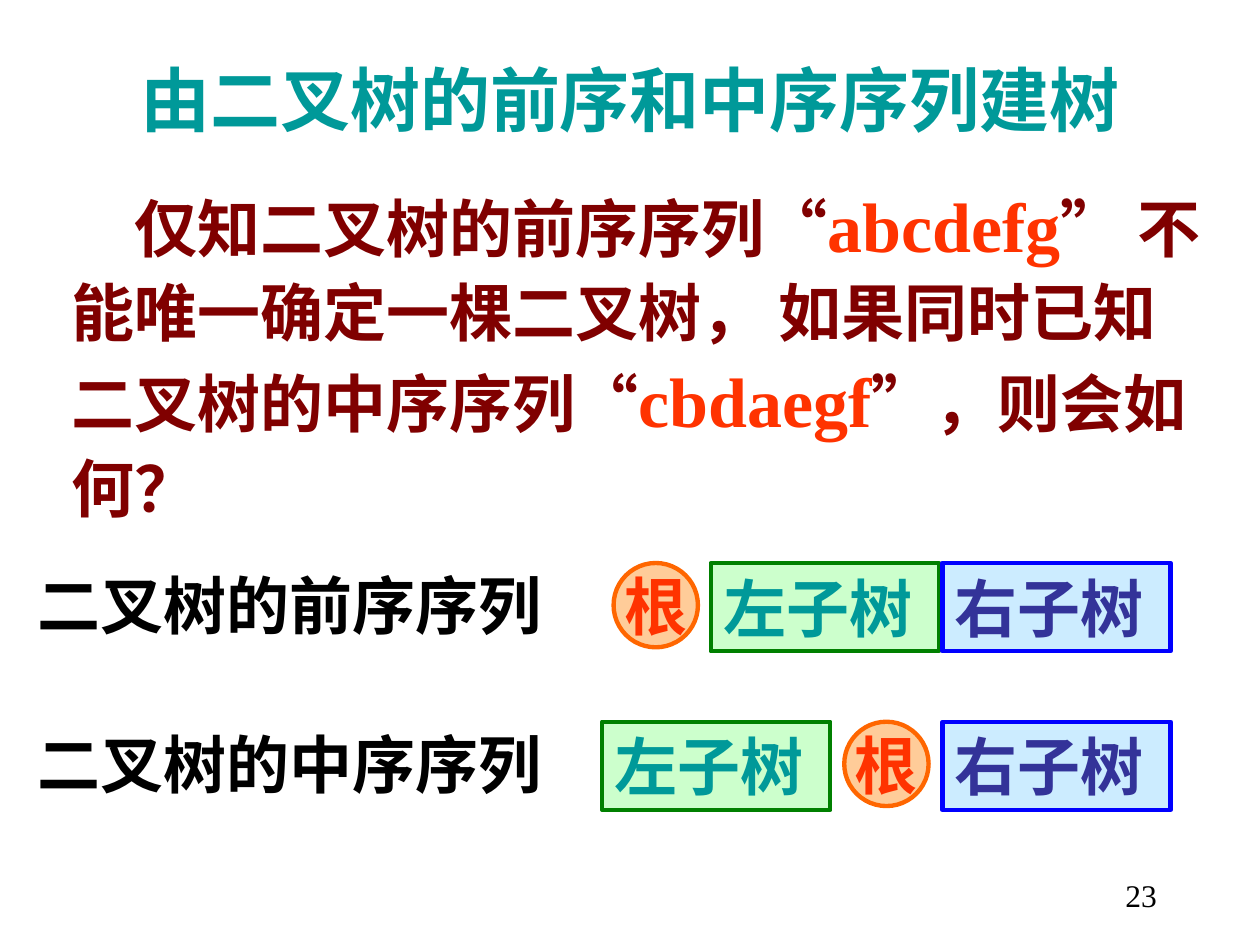
from dataclasses import dataclass

from pptx import Presentation
from pptx.dml.color import RGBColor
from pptx.enum.lang import MSO_LANGUAGE_ID as Language
from pptx.enum.shapes import MSO_SHAPE as Shape
from pptx.enum.text import MSO_ANCHOR as Anchor, PP_ALIGN as Align
from pptx.util import Cm, Pt


@dataclass(frozen=True)
class Theme:
    font: str = "Times New Roman"
    teal: str = "009999"
    maroon: str = "800000"
    red: str = "FF3300"
    navy: str = "333399"
    black: str = "000000"
    green_fill: str = "CCFFCC"
    green_line: str = "008000"
    blue_fill: str = "CCECFF"
    blue_line: str = "0000FF"
    orange_fill: str = "FFCC99"
    orange_line: str = "FF6600"
    large: int = 40
    normal: int = 36
    small: int = 18
    outline: float = 2.5


theme = Theme()


def write(box, spans, size, color, align=Align.LEFT, spacing=1.0, bold=True,
          anchor=Anchor.TOP, wrap=True):
    """Fill a box with one paragraph; each span is (text, size, color)."""
    frame = box.text_frame
    frame.word_wrap = wrap
    frame.vertical_anchor = anchor
    para = frame.paragraphs[0]
    para.alignment = align
    para.line_spacing = spacing
    para.font.name = theme.font
    para.font.bold = bold
    para.font.size = Pt(size)
    para.font.color.rgb = RGBColor.from_string(color)
    for text, span_size, span_color in spans:
        span = para.add_run()
        span.text = text
        span.font.language_id = Language.SIMPLIFIED_CHINESE
        if (span_size, span_color) != (size, color):
            span.font.size = Pt(span_size)
            span.font.color.rgb = RGBColor.from_string(span_color)


def add_text(left, top, width, height, text, size, color, **style):
    box = page.shapes.add_textbox(Cm(left), Cm(top), Cm(width), Cm(height))
    write(box, [(text, size, color)], size, color, **style)


deck = Presentation()
deck.slide_width, deck.slide_height = Cm(25.4), Cm(19.05)
page = deck.slides.add_slide(deck.slide_layouts[6])

# Question, with the two sequences picked out
question = page.shapes.add_textbox(Cm(1.19), Cm(3.38), Cm(23.29), Cm(7.34))
plain = (theme.normal, theme.maroon)
picked = (theme.large, theme.red)
write(question, [
    ("\u3000仅知二叉树的前序序列“", *plain),
    ("abcdefg", *picked),
    ("” 不能唯一确定一棵二叉树， 如果同时已知二叉树的中序序列“", *plain),
    ("cbdaegf", *picked),
    ("”，则会如何？", *plain),
], *plain, spacing=1.1)

# Title
add_text(0, 1.02, 25.4, 1.96, "由二叉树的前序和中序序列建树",
         theme.large, theme.teal, align=Align.CENTER)

# Sequence rows: label, then root and subtrees in visiting order
block_width, block_height, root_size = 4.6, 1.78, 1.7
root = ("根", Shape.OVAL, root_size, root_size,
        theme.orange_fill, theme.orange_line, theme.red)
left_tree = ("左子树", Shape.RECTANGLE, block_width, block_height,
             theme.green_fill, theme.green_line, theme.teal)
right_tree = ("右子树", Shape.RECTANGLE, block_width, block_height,
              theme.blue_fill, theme.blue_line, theme.navy)
rows = [
    ("二叉树的前序序列", 11.35, [(left_tree, 14.33), (right_tree, 19), (root, 12.37)]),
    ("二叉树的中序序列", 14.55, [(left_tree, 12.14), (right_tree, 19), (root, 17.02)]),
]
for label, top, parts in rows:
    add_text(0.51, top - 0.2, 24.89, 1.93, label, theme.normal, theme.black, spacing=1.1)
    for (name, outline, width, height, fill, line, color), left in parts:
        node = page.shapes.add_shape(outline, Cm(left), Cm(top), Cm(width), Cm(height))
        node.shadow.inherit = False
        node.fill.solid()
        node.fill.fore_color.rgb = RGBColor.from_string(fill)
        node.line.color.rgb = RGBColor.from_string(line)
        node.line.width = Pt(theme.outline)
        is_root = outline == Shape.OVAL
        write(node, [(name, theme.normal, color)], theme.normal, color,
              align=Align.CENTER if is_root else Align.LEFT,
              anchor=Anchor.MIDDLE if is_root else Anchor.TOP, wrap=not is_root)

# Page number
add_text(18.29, 17.53, 5.28, 1.27, "23", theme.small, theme.black,
         align=Align.RIGHT, bold=False)

deck.save("out.pptx")
